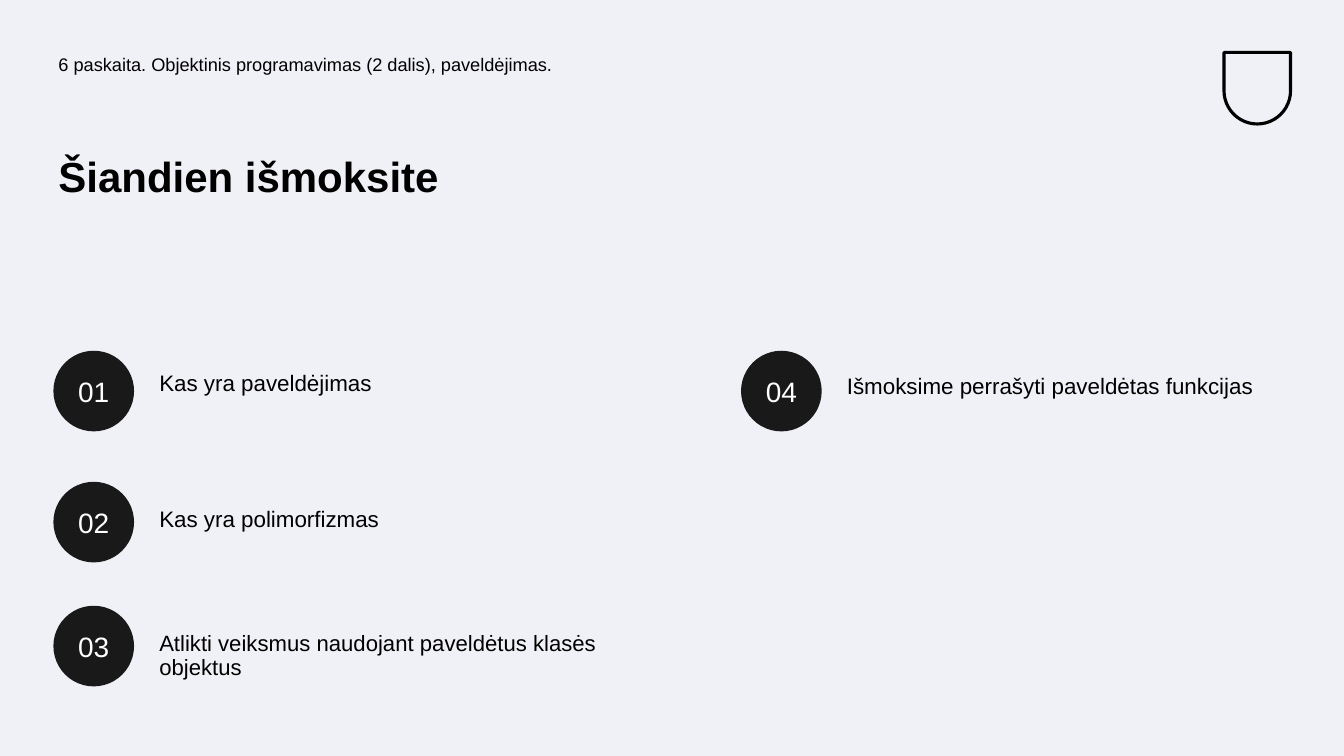
"""Build the lecture agenda slide with its four numbered learning goals."""
from dataclasses import dataclass

from pptx import Presentation
from pptx.dml.color import RGBColor
from pptx.enum.shapes import MSO_SHAPE as Shape
from pptx.enum.text import MSO_ANCHOR as Anchor, MSO_AUTO_SIZE as AutoSize, PP_ALIGN as Align
from pptx.util import Emu, Pt

PX = 9144
FONT = "Arial"
PALE = RGBColor(0xF0, 0xF1, 0xF6)
BLACK = RGBColor(0x00, 0x00, 0x00)
CHARCOAL = RGBColor(0x19, 0x19, 0x19)
WHITE = RGBColor(0xFE, 0xFF, 0xFF)
INSET = 5
LEFT_MARGIN = 53
CIRCLE = 80
TEXT_OFFSET = 100


@dataclass(frozen=True)
class Goal:
    """A numbered goal: circle corner, text top and text size."""
    number: str
    text: str
    left: int
    top: int
    text_top: int
    width: int
    height: int
    size: float = 16


GOALS = [
    Goal("01", "Kas yra paveldėjimas", LEFT_MARGIN, 348, 364, 463, 50),
    Goal("02", "Kas yra polimorfizmas", LEFT_MARGIN, 478, 499, 463, 37),
    Goal("03", "Atlikti veiksmus naudojant paveldėtus klasės objektus",
         LEFT_MARGIN, 601, 623, 487, 57, 15.8),
    Goal("04", "Išmoksime perrašyti paveldėtas funkcijas", 735, 348, 367, 487, 43),
]


def px(*lengths: int) -> list[Emu]:
    """Turn px lengths into EMU."""
    return [Emu(length * PX) for length in lengths]


def write(shape, text: str, size: float, color: RGBColor, bold: bool = False,
          align: Align = Align.LEFT, anchor: Anchor = Anchor.TOP,
          line_spacing: float = 0.9) -> None:
    """Set and format the single paragraph of a shape."""
    frame = shape.text_frame
    frame.text = text
    frame.word_wrap = True
    frame.auto_size = AutoSize.NONE
    frame.vertical_anchor = anchor
    frame.margin_left, frame.margin_top, frame.margin_right, frame.margin_bottom = px(*[INSET] * 4)
    para = frame.paragraphs[0]
    para.alignment = align
    para.line_spacing = line_spacing
    font = para.runs[0].font
    font.name, font.size, font.bold = FONT, Pt(size), bold
    font.color.rgb = color


def add_crest(slide) -> None:
    """Draw a plain shield outline in the top right corner."""
    crest = slide.shapes.add_shape(Shape.ROUND_2_SAME_RECTANGLE, *px(1214, 52, 66, 71))
    crest.adjustments[0] = 0
    crest.adjustments[1] = 0.5
    crest.shadow.inherit = False
    crest.fill.background()
    crest.line.color.rgb = BLACK
    crest.line.width = Pt(2.25)


def add_title(slide) -> None:
    """Place and format the title placeholder."""
    title = slide.shapes.title
    title.left, title.top, title.width, title.height = px(LEFT_MARGIN, 150, 563, 149)
    write(title, "Šiandien išmoksite", 30, BLACK, bold=True)


def add_goal(slide, goal: Goal) -> None:
    """Draw a goal's numbered circle and its text."""
    circle = slide.shapes.add_shape(Shape.OVAL, *px(goal.left, goal.top, CIRCLE, CIRCLE))
    circle.shadow.inherit = False
    circle.fill.solid()
    circle.fill.fore_color.rgb = CHARCOAL
    circle.line.fill.background()
    write(circle, goal.number, 20, WHITE, align=Align.CENTER, anchor=Anchor.MIDDLE, line_spacing=1)
    box = slide.shapes.add_textbox(
        *px(goal.left + TEXT_OFFSET, goal.text_top, goal.width, goal.height))
    write(box, goal.text, goal.size, BLACK)


def main() -> None:
    """Assemble and save the deck."""
    deck = Presentation()
    deck.slide_width, deck.slide_height = px(1333, 750)
    slide = deck.slides.add_slide(deck.slide_layouts.get_by_name("Title Only"))
    slide.background.fill.solid()
    slide.background.fill.fore_color.rgb = PALE
    add_crest(slide)
    header = slide.shapes.add_textbox(*px(LEFT_MARGIN, 50, 614, 49))
    write(header, "6 paskaita. Objektinis programavimas (2 dalis), paveldėjimas.", 13, BLACK)
    add_title(slide)
    for goal in GOALS:
        add_goal(slide, goal)
    deck.save("out.pptx")


if __name__ == "__main__":
    main()
